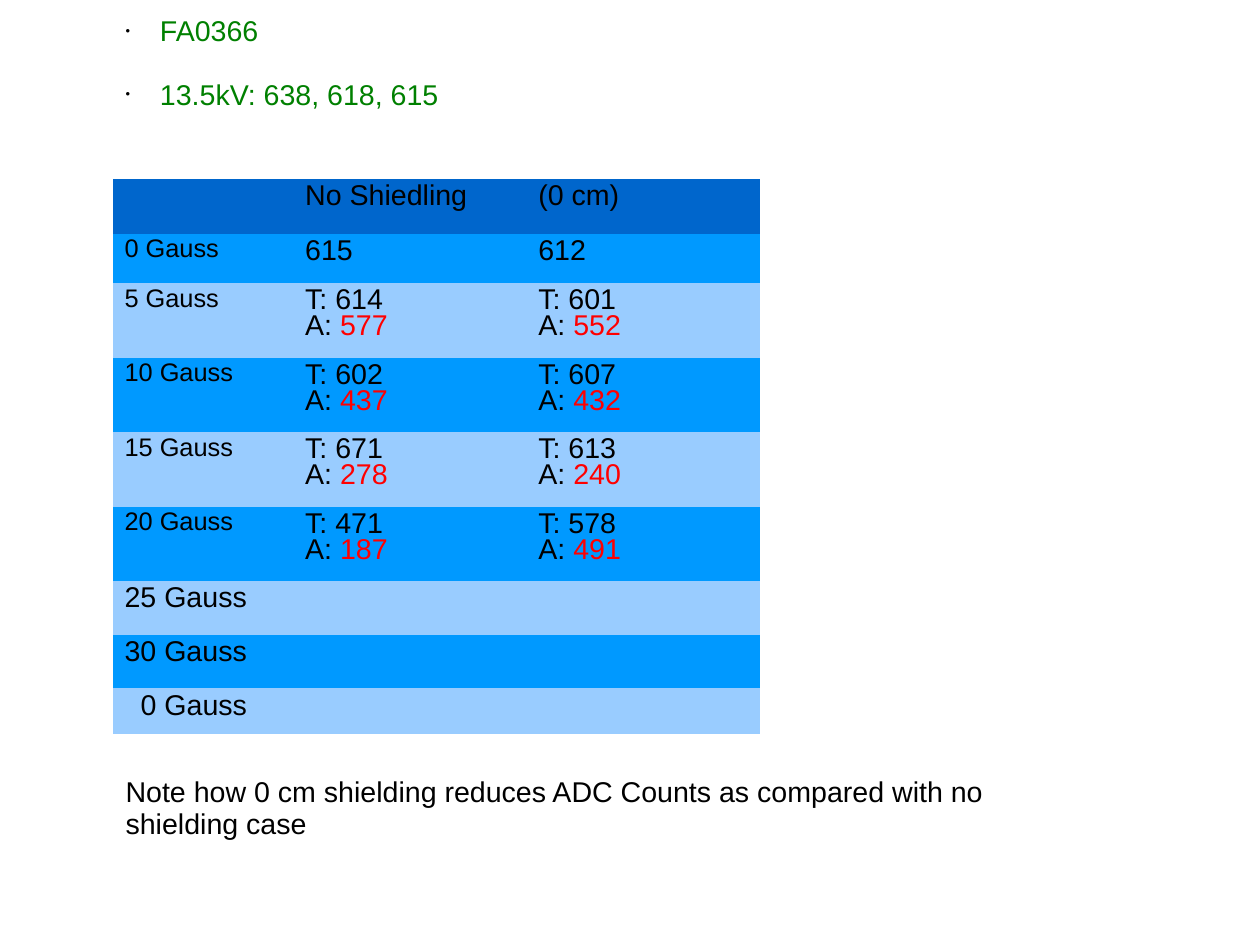
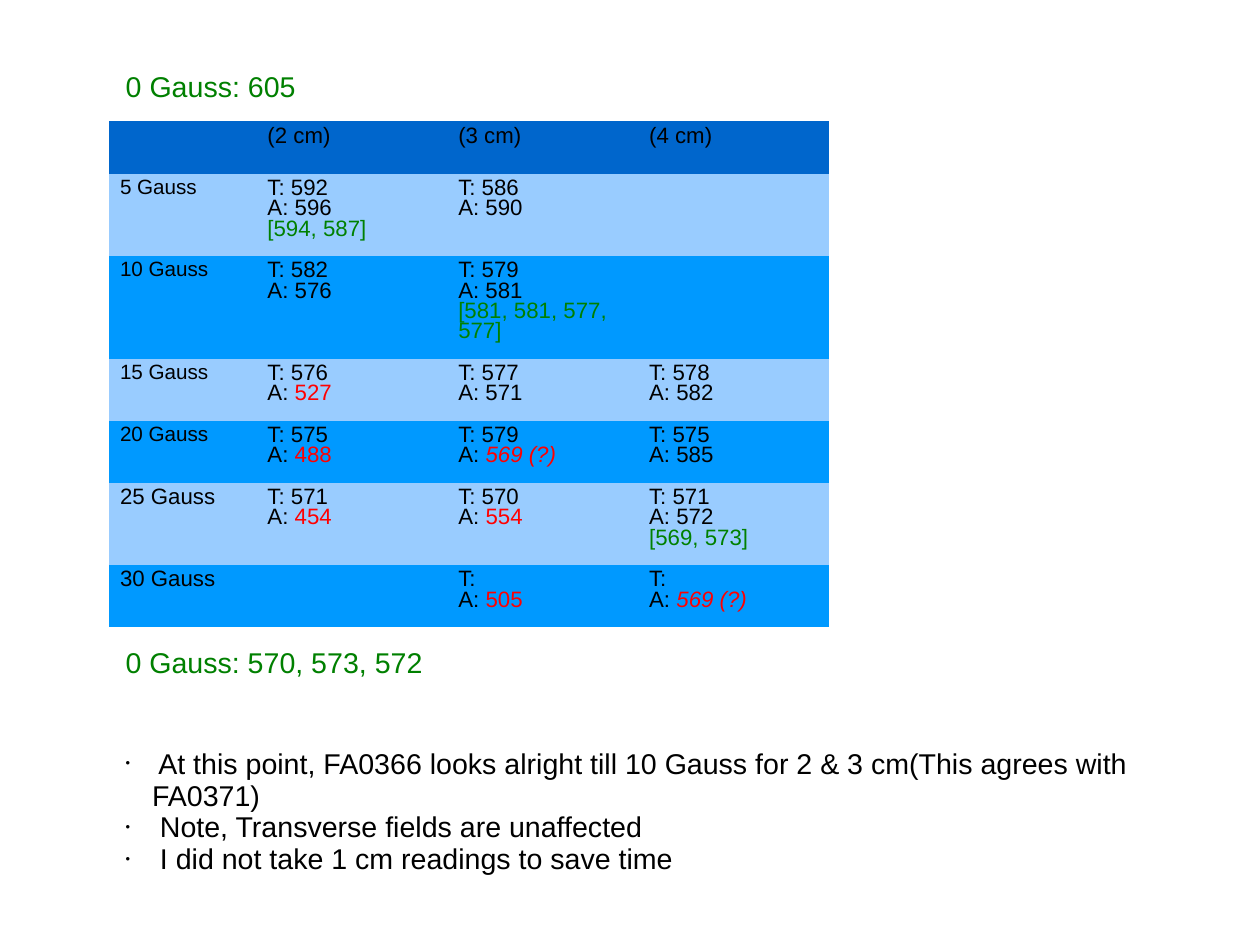
"""Build two slides of Gauss meter readings for FA0366."""
from dataclasses import dataclass
from typing import NamedTuple, Union

from pptx import Presentation
from pptx.dml.color import RGBColor
from pptx.enum.text import MSO_ANCHOR, MSO_AUTO_SIZE, PP_ALIGN
from pptx.oxml.ns import qn
from pptx.util import Cm, Inches, Length, Pt


@dataclass(frozen=True)
class Theme:
    font: str = "Arial"
    ink: str = "000000"
    green: str = "008000"
    red: str = "FF0000"
    head: str = "0066CC"
    bands: tuple = ("0099FF", "99CCFF")
    size: int = 18
    lead: float = 0.93
    tight: float = 0.81
    bare: str = "{2D5ABB26-0587-4C30-8999-92F81FD0307C}"


class Box(NamedTuple):
    col: float
    row: float
    wide: float
    high: float


class Run(NamedTuple):
    text: str
    tone: str
    slant: bool = False


class Read(NamedTuple):
    along: str
    cross: str
    hot: bool = False
    more: str = ""


THEME = Theme()
Item = Union[str, Read]


class Row(NamedTuple):
    high: float
    label: str
    size: int
    cells: tuple
    inset: float = 0
    lead: float = THEME.tight


@dataclass(frozen=True)
class Grid:
    col: float
    row: float
    cols: tuple
    size: int
    first: int
    rows: tuple


def unit(count: float) -> Length:
    """Turn grid steps of a quarter inch into a length."""
    return Inches(count * 0.25)


def write(para, runs: list, size: int, lead: float) -> None:
    """Fill a paragraph run by run."""
    para.alignment = PP_ALIGN.LEFT
    para.line_spacing = lead
    para.space_before = para.space_after = Pt(0)
    for part in runs:
        run = para.add_run()
        run.text = part.text
        font = run.font
        font.name, font.size = THEME.font, Pt(size)
        font.color.rgb = RGBColor.from_string(part.tone)
        if part.slant:
            font.italic = True


def indent(para, left: float, first: float = 0) -> None:
    """Set the left margin and first line offset in grid steps."""
    props = para._p.get_or_add_pPr()
    props.set("marL", str(unit(left)))
    props.set("indent", str(unit(first)))


def bullet(para) -> None:
    """Give a paragraph a small black dot."""
    indent(para, 0.92, -0.92)
    props = para._p.get_or_add_pPr()
    tint = props.makeelement(qn("a:buClr"), {})
    tint.append(tint.makeelement(qn("a:srgbClr"), {"val": THEME.ink}))
    props.append(tint)
    for tag, name, value in (("a:buSzPct", "val", "45000"),
                             ("a:buFont", "typeface", THEME.font),
                             ("a:buChar", "char", "•")):
        props.append(props.makeelement(qn(tag), {name: value}))


def fill(shape, box: Box, lines: list, dots: bool = False, gap: float = 0) -> None:
    """Place a text shape and write its lines."""
    shape.left, shape.top, shape.width, shape.height = map(unit, box)
    frame = shape.text_frame
    frame.word_wrap = True
    frame.auto_size = MSO_AUTO_SIZE.NONE
    frame.vertical_anchor = MSO_ANCHOR.TOP
    for pos, runs in enumerate(lines):
        para = frame.add_paragraph() if pos else frame.paragraphs[0]
        write(para, runs, THEME.size, THEME.lead)
        if pos:
            para.space_before = Pt(gap)
        if dots:
            bullet(para)


def note(slide, box: Box, text: str, tone: str) -> None:
    """Add a plain line of text."""
    fill(slide.shapes.add_textbox(0, 0, 0, 0), box, [[Run(text, tone)]])


def split(item: Item) -> list:
    """Turn a cell's content into lines of runs."""
    if isinstance(item, str):
        return [[Run(item, THEME.ink)] if item else []]
    value = Run(item.cross, THEME.red if item.hot else THEME.ink, "?" in item.cross)
    lines = [[Run(f"T: {item.along}".strip(), THEME.ink)],
             [Run("A: ", THEME.ink), value]]
    if item.more:
        lines.append([Run(item.more, THEME.green)])
    return lines


def paint(cell, tone: str, item: Item, size: int, lead: float, inset: float = 0) -> None:
    """Colour a cell and write its lines."""
    cell.fill.solid()
    cell.fill.fore_color.rgb = RGBColor.from_string(tone)
    frame = cell.text_frame
    for pos, runs in enumerate(split(item)):
        para = frame.add_paragraph() if pos else frame.paragraphs[0]
        write(para, runs, size, lead)
        if inset:
            indent(para, inset)


def chart(slide, grid: Grid) -> None:
    """Draw a banded table of readings."""
    high = sum(row.high for row in grid.rows)
    frame = slide.shapes.add_table(
        len(grid.rows), len(grid.cols), unit(grid.col), unit(grid.row),
        unit(sum(grid.cols)), unit(high))
    for style in frame.element.iter(qn("a:tableStyleId")):
        style.text = THEME.bare
    table = frame.table
    table.first_row = table.horz_banding = False
    for col, wide in zip(table.columns, grid.cols):
        col.width = unit(wide)
    for pos, row in enumerate(grid.rows):
        table.rows[pos].height = unit(row.high)
        tone = THEME.bands[(pos + grid.first) % 2] if pos else THEME.head
        paint(table.cell(pos, 0), tone, row.label, row.size, row.lead, row.inset)
        for col in range(1, len(grid.cols)):
            item = row.cells[col - 1] if col <= len(row.cells) else ""
            paint(table.cell(pos, col), tone, item, grid.size, THEME.tight)


NEAR = Grid(3.96, 6.27, (6.32, 8.16, 8.16), 18, 1, (
    Row(1.92, "", 18, ("No Shiedling", "(0 cm)")),
    Row(1.72, "0 Gauss", 16, ("615", "612")),
    Row(2.61, "5 Gauss", 16, (Read("614", "577", True), Read("601", "552", True))),
    Row(2.61, "10 Gauss", 16, (Read("602", "437", True), Read("607", "432", True))),
    Row(2.61, "15 Gauss", 16, (Read("671", "278", True), Read("613", "240", True))),
    Row(2.61, "20 Gauss", 16, (Read("471", "187", True), Read("578", "491", True))),
    Row(1.86, "25 Gauss", 18, ()),
    Row(1.86, "30 Gauss", 18, ()),
    Row(1.5, "0 Gauss", 18, (), 0.56, 0.87),
))

FAR = Grid(3.8, 4.24, (5.16, 6.68, 6.68, 6.68), 14, 0, (
    Row(1.84, "", 14, ("(2 cm)", "(3 cm)", "(4 cm)")),
    Row(2.88, "5 Gauss", 13, (
        Read("592", "596", more="[594, 587]"), Read("586", "590"))),
    Row(3.6, "10 Gauss", 13, (
        Read("582", "576"), Read("579", "581", more="[581, 581, 577, 577]"))),
    Row(2.17, "15 Gauss", 13, (
        Read("576", "527", True), Read("577", "571"), Read("578", "582"))),
    Row(2.17, "20 Gauss", 13, (
        Read("575", "488", True), Read("579", "569 (?)", True), Read("575", "585"))),
    Row(2.88, "25 Gauss", 14, (
        Read("571", "454", True), Read("570", "554", True),
        Read("571", "572", more="[569, 573]"))),
    Row(2.17, "30 Gauss", 14, (
        "", Read("", "505", True), Read("", "569 (?)", True))),
))


def main() -> None:
    """Build and save both slides."""
    deck = Presentation()
    deck.slide_width = Cm(28)
    deck.slide_height = Cm(21)
    plan = deck.slide_layouts[1]

    slide = deck.slides.add_slide(plan)
    title = slide.shapes.title.element
    title.getparent().remove(title)
    chart(slide, NEAR)
    fill(slide.placeholders[1], Box(4, 0.36, 21, 3.76), [
        [Run(" ", THEME.ink), Run("FA0366", THEME.green)],
        [Run(" 13.5kV: 638, 618, 615", THEME.green)],
    ], dots=True, gap=20)
    note(slide, Box(4, 27, 35, 2.64),
         "Note how 0 cm shielding reduces ADC Counts as compared with no "
         "shielding case", THEME.ink)

    slide = deck.slides.add_slide(plan)
    chart(slide, FAR)
    fill(slide.shapes.title, Box(4, 2.32, 8, 1.52),
         [[Run("0 Gauss: 605", THEME.green)]])
    note(slide, Box(4, 22.48, 15, 1.52), "0 Gauss: 570, 573, 572", THEME.green)
    fill(slide.placeholders[1], Box(4, 26, 36, 4.84), [[Run(text, THEME.ink)] for text in (
        " At this point, FA0366 looks alright till 10 Gauss for 2 & 3 cm"
        "(This agrees with FA0371)",
        " Note, Transverse fields are unaffected",
        " I did not take 1 cm readings to save time",
    )], dots=True)
    deck.save("out.pptx")


if __name__ == "__main__":
    main()
